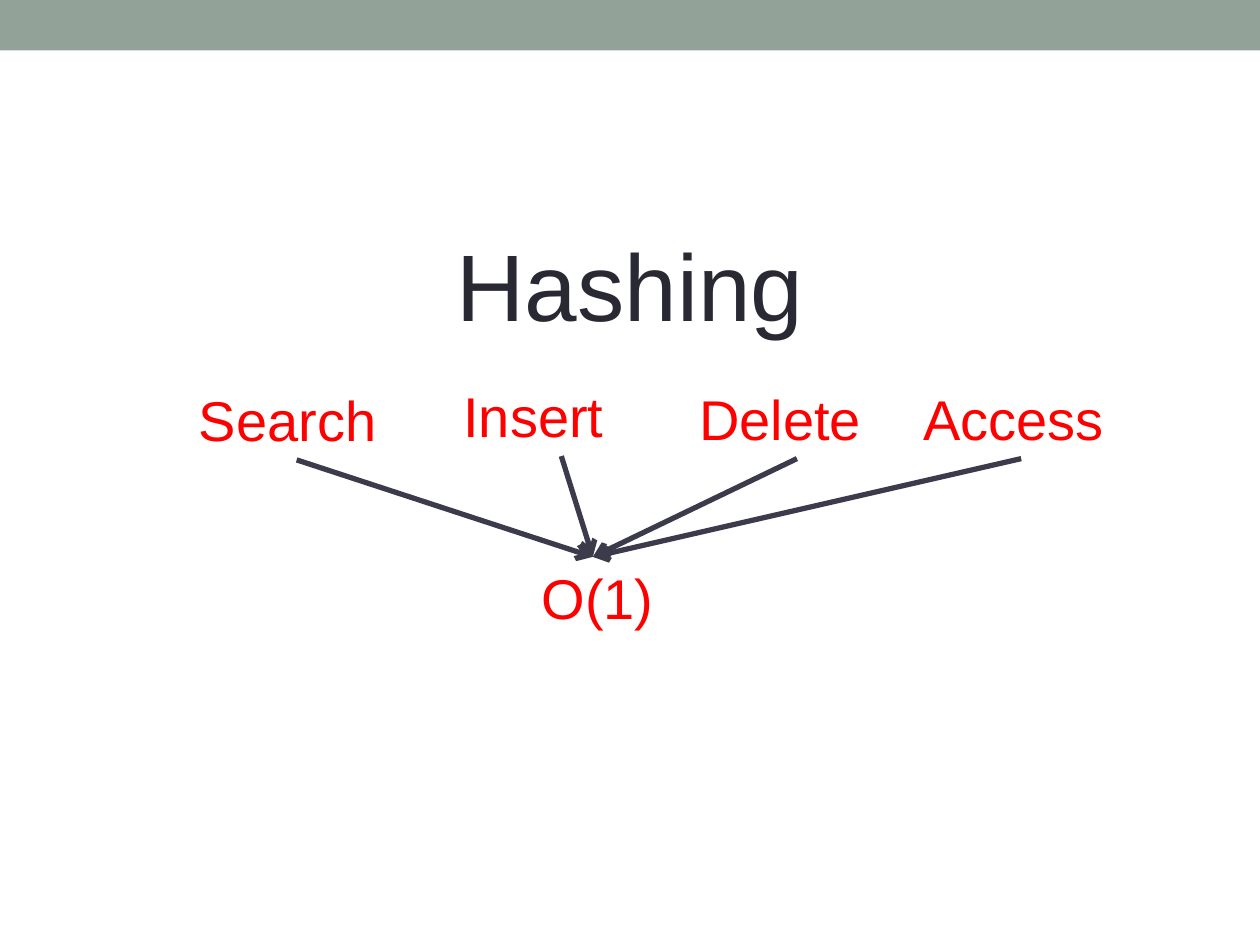
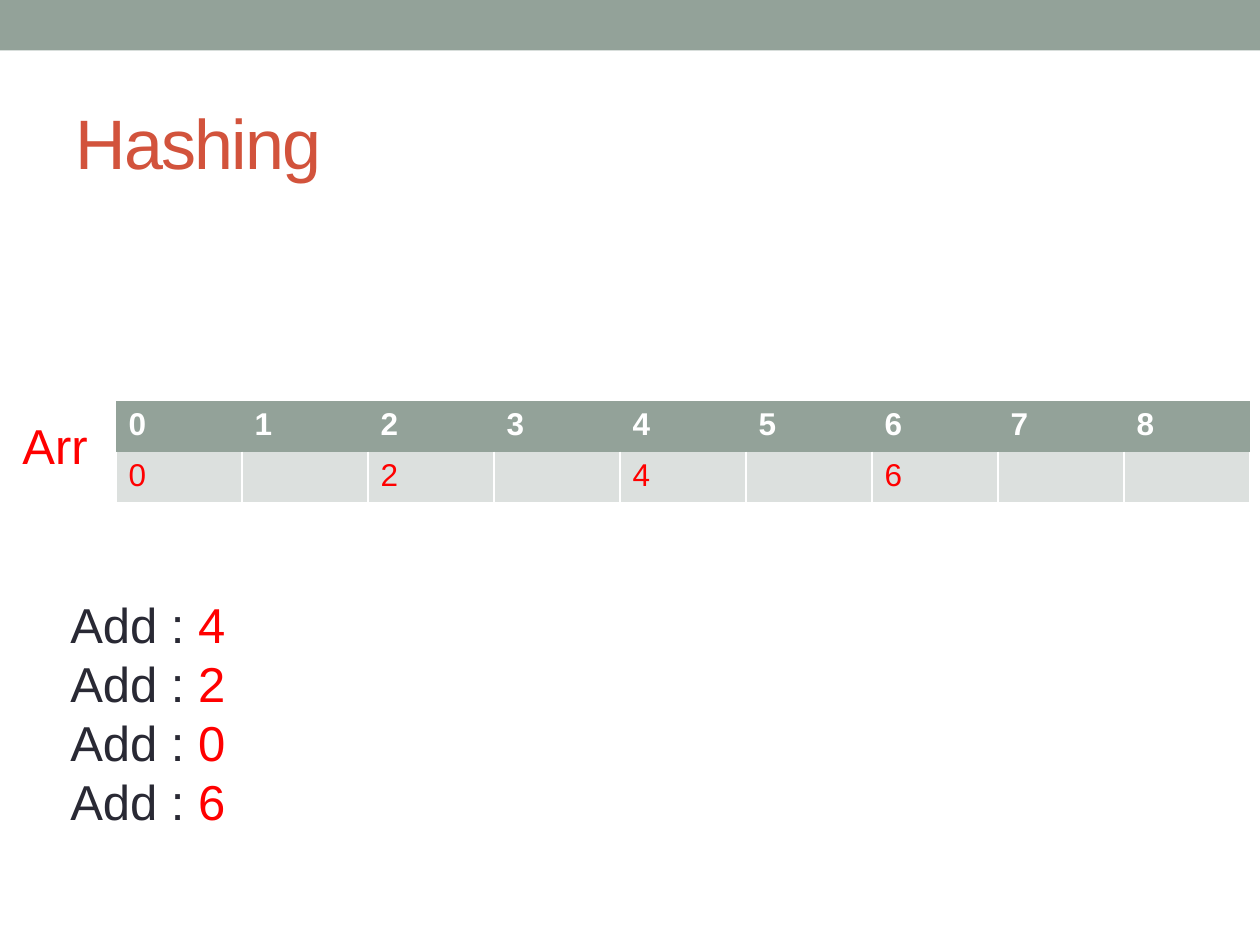
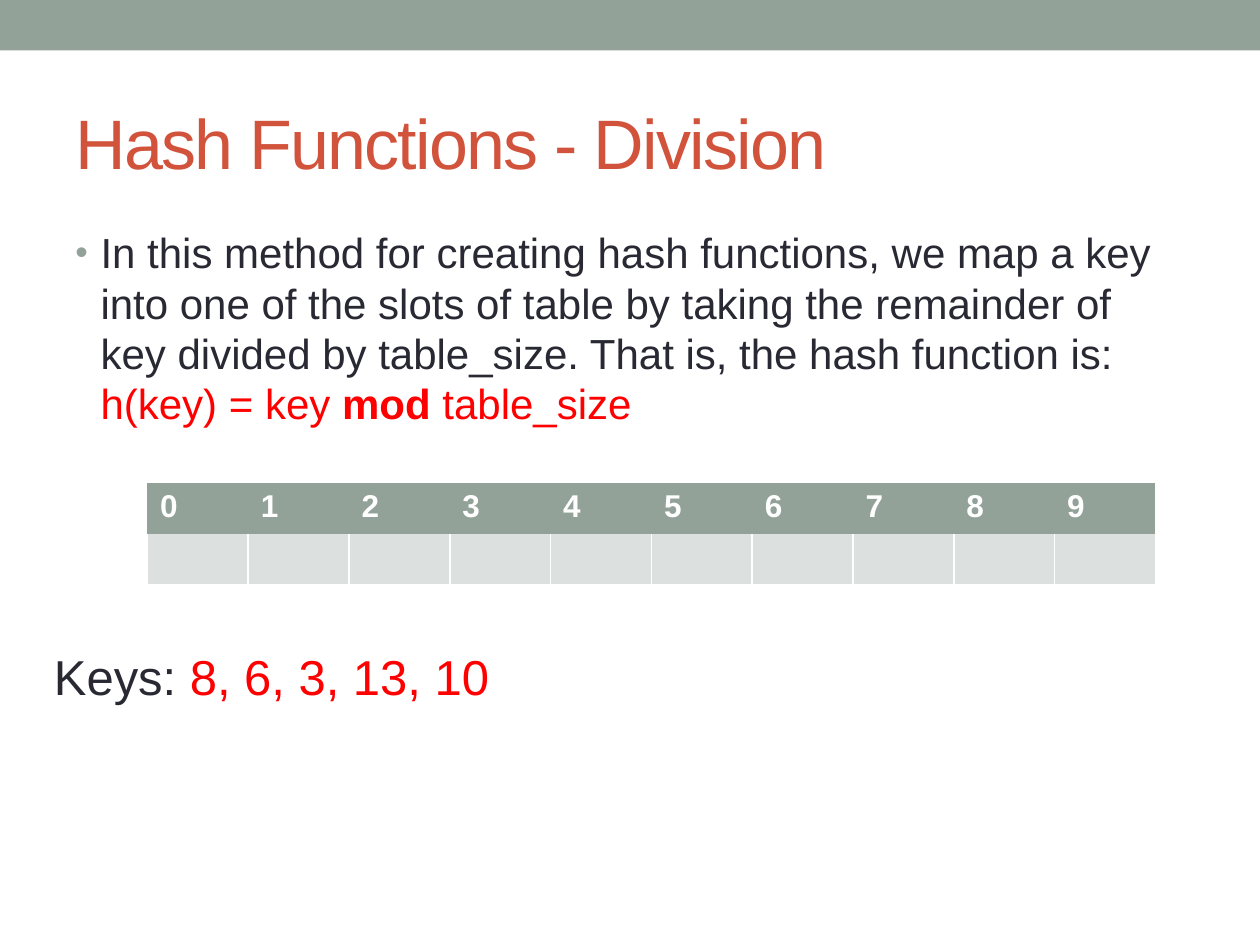
"""Build three slides on hashing and the division method."""
import dataclasses

import pptx
import pptx.dml.color
import pptx.enum.shapes
import pptx.enum.text
import pptx.oxml.ns
import pptx.presentation
import pptx.shapes.autoshape
import pptx.slide
import pptx.util
from lxml import etree

Inches = pptx.util.Inches
Pt = pptx.util.Pt
Anchor = pptx.enum.text.MSO_ANCHOR
Align = pptx.enum.text.PP_ALIGN
FONT = "Arial"
COLORS = {
    "sage": "93A299",
    "pale": "DCE0DE",
    "ink": "292934",
    "slate": "3B3B4B",
    "rust": "D2533C",
    "red": "FF0000",
    "white": "FFFFFF",
}


@dataclasses.dataclass(frozen=True)
class Run:
    text: str
    color: str = "ink"
    bold: bool = False


@dataclasses.dataclass(frozen=True)
class Box:
    left: float
    top: float
    width: float
    height: float
    lines: list[list[Run]]
    size: float = 28
    track: float = 0
    before: float = 0
    indent: float = 0
    bullet: bool = False
    align: Align = Align.LEFT
    anchor: Anchor = Anchor.TOP


@dataclasses.dataclass(frozen=True)
class Grid:
    left: float
    top: float
    width: float
    count: int
    keys: tuple[int, ...] = ()
    height: float = 0.81


def shade(name: str) -> pptx.dml.color.RGBColor:
    return pptx.dml.color.RGBColor.from_string(COLORS[name])


def child(parent: etree._Element, tag: str, **attrs: str) -> etree._Element:
    return etree.SubElement(parent, pptx.oxml.ns.qn(tag), attrs)


def add_run(para: pptx.text.text._Paragraph, item: Run, size: float,
            track: float = 0) -> None:
    run = para.add_run()
    run.text = item.text
    run.font.name = FONT
    run.font.size = Pt(size)
    run.font.bold = item.bold
    run.font.color.rgb = shade(item.color)
    if track:
        run._r.get_or_add_rPr().set("spc", str(int(track * 100)))


def add_box(slide: pptx.slide.Slide, box: Box) -> None:
    shape = slide.shapes.add_textbox(
        Inches(box.left), Inches(box.top), Inches(box.width), Inches(box.height))
    frame = shape.text_frame
    frame.word_wrap = True
    frame.vertical_anchor = box.anchor
    for num, line in enumerate(box.lines):
        para = frame.add_paragraph() if num else frame.paragraphs[0]
        para.alignment = box.align
        para.space_before = Pt(box.before)
        props = para._p.get_or_add_pPr()
        if box.indent:
            props.set("marL", str(Inches(box.indent)))
        if box.bullet:
            props.set("indent", str(-Inches(box.indent)))
            child(child(props, "a:buClr"), "a:srgbClr", val=COLORS["sage"])
            child(props, "a:buSzPct", val="85000")
            child(props, "a:buFont", typeface=FONT)
            child(props, "a:buChar", char="•")
        for item in line:
            add_run(para, item, box.size, box.track)


def add_title(slide: pptx.slide.Slide, text: str) -> None:
    add_box(slide, Box(0.5, 0.58, 9, 1.08, [[Run(text, "rust")]], size=40,
                       track=-1, anchor=Anchor.MIDDLE))


def add_arrow(slide: pptx.slide.Slide, start: Box, end: Box) -> None:
    line = slide.shapes.add_connector(
        pptx.enum.shapes.MSO_CONNECTOR.STRAIGHT,
        Inches(start.left + start.width / 2), Inches(start.top + start.height),
        Inches(end.left + end.width / 2), Inches(end.top))
    line.line.color.rgb = shade("slate")
    line.line.width = Pt(3)
    child(line.line._get_or_add_ln(), "a:tailEnd", type="arrow")
    child(line._element.spPr, "a:effectLst")


def add_edge(cell: pptx.table._Cell) -> None:
    props = cell._tc.get_or_add_tcPr()
    for side in ("a:lnL", "a:lnR", "a:lnB"):
        edge = child(props, side, w=str(Pt(1)))
        child(child(edge, "a:solidFill"), "a:srgbClr", val=COLORS["white"])


def add_grid(slide: pptx.slide.Slide, grid: Grid) -> None:
    table = slide.shapes.add_table(
        2, grid.count, Inches(grid.left), Inches(grid.top),
        Inches(grid.width), Inches(grid.height)).table
    style = table._tbl.tblPr.find(pptx.oxml.ns.qn("a:tableStyleId"))
    style.text = "{2D5ABB26-0587-4C30-8999-92F81FD0307C}"
    for slot in range(grid.count):
        head, cell = table.cell(0, slot), table.cell(1, slot)
        add_edge(cell)
        for part, fill in ((head, "sage"), (cell, "pale")):
            part.fill.solid()
            part.fill.fore_color.rgb = shade(fill)
        add_run(head.text_frame.paragraphs[0], Run(str(slot), "white", True), 18)
        if slot in grid.keys:
            add_run(cell.text_frame.paragraphs[0], Run(str(slot), "red"), 18)


def add_slide(deck: pptx.presentation.Presentation) -> pptx.slide.Slide:
    slide = deck.slides.add_slide(deck.slide_layouts[6])
    band = slide.shapes.add_shape(
        pptx.enum.shapes.MSO_SHAPE.RECTANGLE, 0, 0, deck.slide_width, Inches(0.4))
    band.shadow.inherit = False
    band.fill.solid()
    band.fill.fore_color.rgb = shade("sage")
    band.line.fill.background()
    return slide


def label(left: float, top: float, text: str, indent: float = 0) -> Box:
    return Box(left, top, 1.75, 0.64, [[Run(text, "red")]], size=32, indent=indent)


def draw_cost(slide: pptx.slide.Slide) -> None:
    add_box(slide, Box(0.5, 1.75, 9, 5.33, [[Run("Hashing")]], size=54,
                       before=5.5, align=Align.CENTER))
    tasks = [label(1.48, 3.01, "Search"), label(3.58, 2.98, "Insert"),
             label(5.45, 3, "Delete"), label(7.23, 3, "Access")]
    cost = label(3.83, 4.42, "O(1)", indent=0.37)
    for task in reversed(tasks):
        add_arrow(slide, task, cost)
    for box in (*tasks, cost):
        add_box(slide, box)


def draw_array(slide: pptx.slide.Slide) -> None:
    keys = (4, 2, 0, 6)
    add_title(slide, "Hashing")
    add_grid(slide, Grid(0.92, 3.18, 9, 9, keys))
    add_box(slide, Box(0.08, 3.25, 0.75, 0.57, [[Run("Arr", "red")]]))
    add_box(slide, Box(0.46, 4.67, 1.46, 2.46,
                       [[Run("Add : "), Run(str(key), "red")] for key in keys]))


def draw_modulo(slide: pptx.slide.Slide) -> None:
    add_title(slide, "Hash Functions - Division")
    add_box(slide, Box(0.5, 1.75, 9, 5.33, [[
        Run("In this method for creating hash functions, we map a key into one of "
            "the slots of table by taking the remainder of key divided by "
            "table_size. That is, the hash function is: "),
        Run("h(key) = key ", "red"),
        Run("mod ", "red", True),
        Run("table_size", "red"),
    ]], size=24, before=3, indent=0.2, bullet=True))
    add_grid(slide, Grid(1.17, 3.83, 8, 10))
    add_box(slide, Box(0.33, 5.08, 4.5, 0.57,
                       [[Run("Keys: "), Run("8, 6, 3, 13, 10", "red")]]))


def main() -> None:
    deck = pptx.Presentation()
    deck.slide_width, deck.slide_height = Inches(10), Inches(7.5)
    for draw in (draw_cost, draw_array, draw_modulo):
        draw(add_slide(deck))
    deck.save("out.pptx")


if __name__ == "__main__":
    main()
